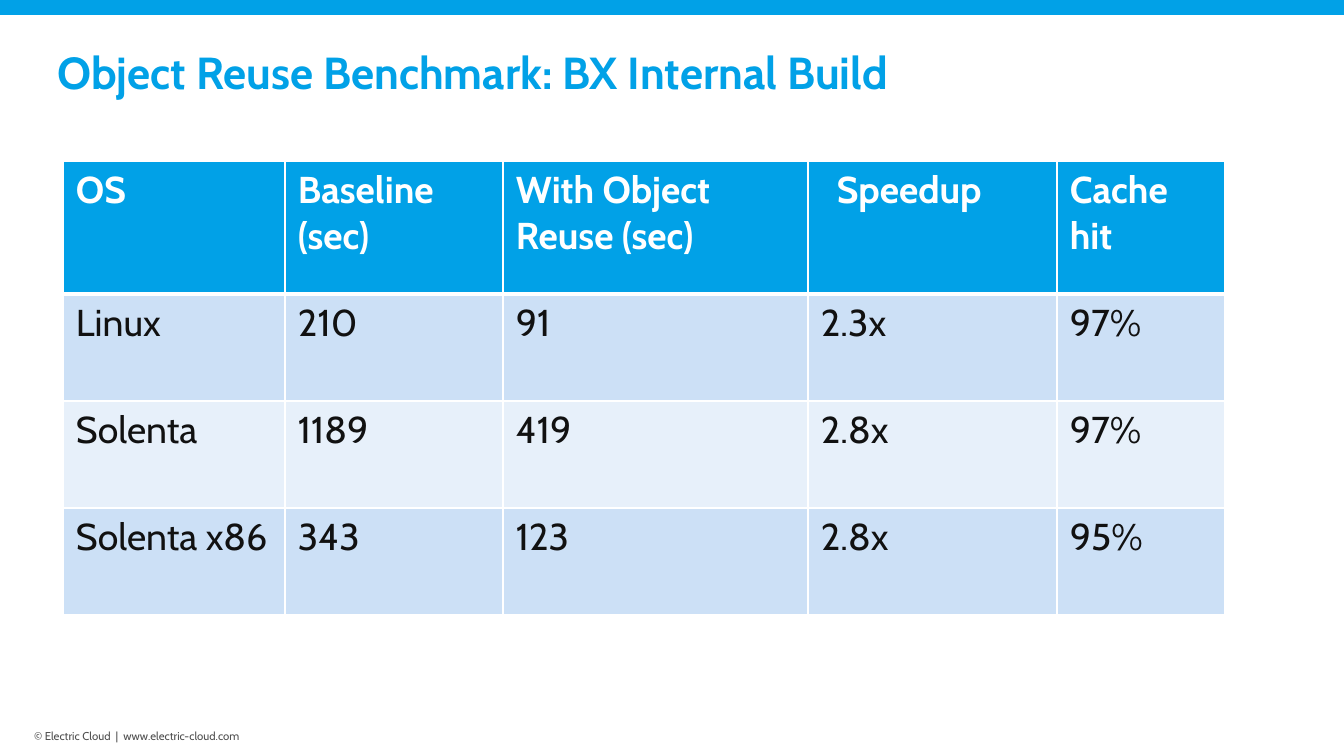
from dataclasses import dataclass

from lxml.etree import SubElement
from pptx import Presentation
from pptx.dml.color import RGBColor
from pptx.enum.shapes import MSO_SHAPE as Shape
from pptx.enum.text import MSO_ANCHOR as Anchor, PP_ALIGN as Align
from pptx.oxml.ns import qn
from pptx.util import Emu, Pt

SLIDE_WIDTH, SLIDE_HEIGHT = 1344, 756
EMU_PER_PX = 9144000 / SLIDE_WIDTH

BLUE, WHITE, INK, GREY = "01A1E7", "FFFFFF", "111111", "505050"
BANDS = ("CCE0F6", "E7F0FA")

COLUMN_WIDTHS = (222, 218, 305, 249, 168)
HEADER_HEIGHT, ROW_HEIGHT = 133, 107
CELL_INSET, SPEEDUP_INDENT = 13, 16


@dataclass(frozen=True)
class Box:
    left: int
    top: int
    width: int
    height: int


@dataclass(frozen=True)
class Benchmark:
    system: str
    baseline: str
    with_reuse: str
    speedup: str
    cache_hit: str

    def values(self) -> tuple:
        return (self.system, self.baseline, self.with_reuse,
                self.speedup, self.cache_hit)


HEADINGS = Benchmark("OS", "Baseline (sec)", "With Object Reuse (sec)",
                     "Speedup", "Cache hit")
BENCHMARKS = (
    Benchmark("Linux", "210", "91", "2.3x", "97%"),
    Benchmark("Solenta", "1189", "419", "2.8x", "97%"),
    Benchmark("Solenta x86", "343", "123", "2.8x", "95%"),
)


def px(length: int) -> Emu:
    return Emu(round(length * EMU_PER_PX))


def colour(value: str) -> RGBColor:
    return RGBColor.from_string(value)


def apply(target, formats: dict) -> None:
    for name, value in formats.items():
        setattr(target, name, value)


def place(shape, box: Box) -> None:
    apply(shape, {"left": px(box.left), "top": px(box.top),
                  "width": px(box.width), "height": px(box.height)})


def write(frame, text: str, size: float, ink: str, bold: bool = False) -> None:
    frame.word_wrap = True
    paragraph = frame.paragraphs[0]
    paragraph.alignment = Align.LEFT
    run = paragraph.add_run()
    run.text = text
    apply(run.font, {"name": "Cabin", "size": Pt(size), "bold": bold})
    run.font.color.rgb = colour(ink)


def add_borders(cell, top: int, bottom: int) -> None:
    properties = cell._tc.get_or_add_tcPr()
    for side, points in {"L": 1, "R": 1, "T": top, "B": bottom}.items():
        line = SubElement(properties, qn(f"a:ln{side}"), w=str(Pt(points)))
        fill = SubElement(line, qn("a:solidFill"))
        SubElement(fill, qn("a:srgbClr"), val=WHITE)


def fill_row(table, index: int, benchmark: Benchmark) -> None:
    header = index == 0
    for column, value in enumerate(benchmark.values()):
        cell = table.cell(index, column)
        add_borders(cell, top=3 if index == 1 else 1, bottom=3 if header else 1)
        cell.fill.solid()
        cell.fill.fore_color.rgb = colour(BLUE if header else BANDS[(index - 1) % 2])
        indent = SPEEDUP_INDENT if value == HEADINGS.speedup else 0
        cell.margin_left = px(CELL_INSET + indent)
        write(cell.text_frame, value, 20, WHITE if header else INK, header)


def add_benchmark_table(slide, left: int, top: int) -> None:
    rows = (HEADINGS, *BENCHMARKS)
    heights = (HEADER_HEIGHT, *[ROW_HEIGHT] * len(BENCHMARKS))
    table = slide.shapes.add_table(
        len(rows), len(COLUMN_WIDTHS), px(left), px(top),
        px(sum(COLUMN_WIDTHS)), px(sum(heights))).table
    for column, width in zip(table.columns, COLUMN_WIDTHS):
        column.width = px(width)
    for index, (benchmark, height) in enumerate(zip(rows, heights)):
        table.rows[index].height = px(height)
        fill_row(table, index, benchmark)


def main() -> None:
    deck = Presentation()
    apply(deck, {"slide_width": px(SLIDE_WIDTH), "slide_height": px(SLIDE_HEIGHT)})
    slide = deck.slides.add_slide(deck.slide_layouts.get_by_name("Title Only"))

    # Top band
    band = slide.shapes.add_shape(Shape.RECTANGLE, 0, 0, px(SLIDE_WIDTH), px(15))
    band.shadow.inherit = False
    band.fill.solid()
    band.fill.fore_color.rgb = colour(BLUE)
    band.line.fill.background()

    # Title
    title = slide.shapes.title
    place(title, Box(44, 38, 1196, 67))
    title.text_frame.vertical_anchor = Anchor.MIDDLE
    write(title.text_frame, "Object Reuse Benchmark: BX Internal Build", 24, BLUE, True)

    # Benchmark results
    add_benchmark_table(slide, 63, 161)

    # Copyright line
    copyright_line = slide.shapes.add_textbox(0, 0, 0, 0)
    place(copyright_line, Box(34, 726, 246, 27))
    apply(copyright_line.text_frame, {"margin_left": 0, "margin_top": px(3),
                                      "margin_right": 0, "margin_bottom": 0})
    write(copyright_line.text_frame,
          "© Electric Cloud  |  www.electric-cloud.com", 6.1, GREY)

    deck.save("out.pptx")


if __name__ == "__main__":
    main()
